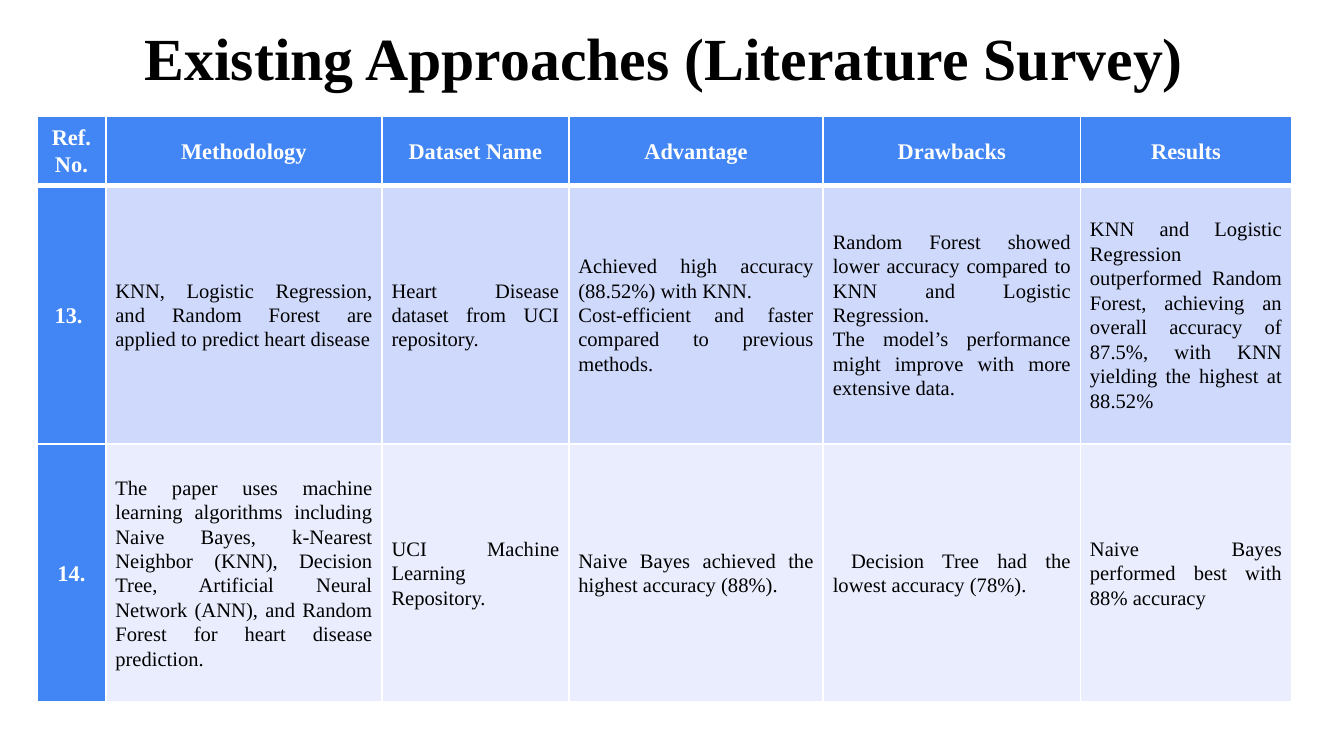
from lxml import etree
from pptx import Presentation
from pptx.dml.color import RGBColor
from pptx.enum.text import MSO_ANCHOR, PP_ALIGN
from pptx.oxml.ns import qn
from pptx.util import Cm, Pt

MIDDLE = MSO_ANCHOR.MIDDLE
CENTER = PP_ALIGN.CENTER
JUSTIFY = PP_ALIGN.JUSTIFY
BLACK = RGBColor(0x00, 0x00, 0x00)
WHITE = RGBColor(0xFF, 0xFF, 0xFF)
BLUE = RGBColor(0x42, 0x85, 0xF4)
BANDS = [RGBColor(0xCF, 0xD9, 0xFB), RGBColor(0xE9, 0xED, 0xFD)]
FONT = "Times New Roman"

WIDTHS = [1.3, 5.22, 3.53, 4.81, 4.86, 3.99]
HEIGHTS = [1.32, 4.88, 4.88]
# One list per table row; each cell is a list of paragraphs.
ROWS = [
    [["Ref. No."], ["Methodology"], ["Dataset Name"], ["Advantage"],
     ["Drawbacks"], ["Results"]],
    [["13. "],
     ["KNN, Logistic Regression, and Random Forest are applied to predict "
      "heart disease"],
     ["Heart Disease dataset from UCI repository."],
     ["Achieved high accuracy (88.52%) with KNN.",
      "Cost-efficient and faster compared to previous methods."],
     ["Random Forest showed lower accuracy compared to KNN and Logistic "
      "Regression.",
      "The model’s performance might improve with more extensive data."],
     ["KNN and Logistic Regression outperformed Random Forest, achieving an "
      "overall accuracy of 87.5%, with KNN yielding the highest at 88.52%"]],
    [["14."],
     ["The paper uses machine learning algorithms including Naive Bayes, "
      "k-Nearest Neighbor (KNN), Decision Tree, Artificial Neural Network "
      "(ANN), and Random Forest for heart disease prediction."],
     ["UCI Machine Learning Repository."],
     ["Naive Bayes achieved the highest accuracy (88%)."],
     [" Decision Tree had the lowest accuracy (78%)."],
     ["Naive Bayes performed best with 88% accuracy"]],
]


def add_run(para, text, size, color, bold):
    run = para.add_run()
    run.text = text
    run.font.name = FONT
    run.font.size = Pt(size)
    run.font.color.rgb = color
    run.font.bold = bold


def add_edge(cell, side, width):
    """Draw one white cell border; call before the fill is set."""
    props = cell._tc.get_or_add_tcPr()
    line = etree.SubElement(props, qn("a:" + side), w=str(Pt(width)))
    fill = etree.SubElement(line, qn("a:solidFill"))
    etree.SubElement(fill, qn("a:srgbClr"), val=str(WHITE))


prs = Presentation()
prs.slide_width, prs.slide_height = Cm(25.4), Cm(14.29)
slide = prs.slides.add_slide(prs.slide_layouts[5])

title = slide.shapes.title
title.left, title.top = Cm(0), Cm(-0.03)
title.width, title.height = Cm(25.4), Cm(2.2)
frame = title.text_frame
frame.word_wrap = True
frame.vertical_anchor = MIDDLE
frame.margin_left = frame.margin_right = Cm(0.25)
frame.margin_top = frame.margin_bottom = Cm(0.25)
para = frame.paragraphs[0]
para.alignment = CENTER
add_run(para, "Existing Approaches (Literature Survey) ", 32, BLACK, True)

table = slide.shapes.add_table(
    len(HEIGHTS), len(WIDTHS), Cm(0.7), Cm(2.19),
    Cm(sum(WIDTHS)), Cm(sum(HEIGHTS))).table
for col, width in zip(table.columns, WIDTHS):
    col.width = Cm(width)
for row, height in zip(table.rows, HEIGHTS):
    row.height = Cm(height)

for r, texts in enumerate(ROWS):
    for c, lines in enumerate(texts):
        cell = table.cell(r, c)
        head = r == 0 or c == 0
        for side in ("lnL", "lnR", "lnT", "lnB"):
            thick = (r, side) in ((0, "lnB"), (1, "lnT"))
            add_edge(cell, side, 3 if thick else 1)
        cell.fill.solid()
        cell.fill.fore_color.rgb = BLUE if head else BANDS[r - 1]
        cell.vertical_anchor = MIDDLE
        cell.margin_left = cell.margin_right = Cm(0.18)
        cell.margin_top = cell.margin_bottom = Cm(0)
        for i, text in enumerate(lines):
            frame = cell.text_frame
            para = frame.add_paragraph() if i else frame.paragraphs[0]
            para.alignment = CENTER if head else JUSTIFY
            para.line_spacing = 1.07
            add_run(para, text, 12 if head else 11,
                    WHITE if head else BLACK, head)

prs.save("out.pptx")
